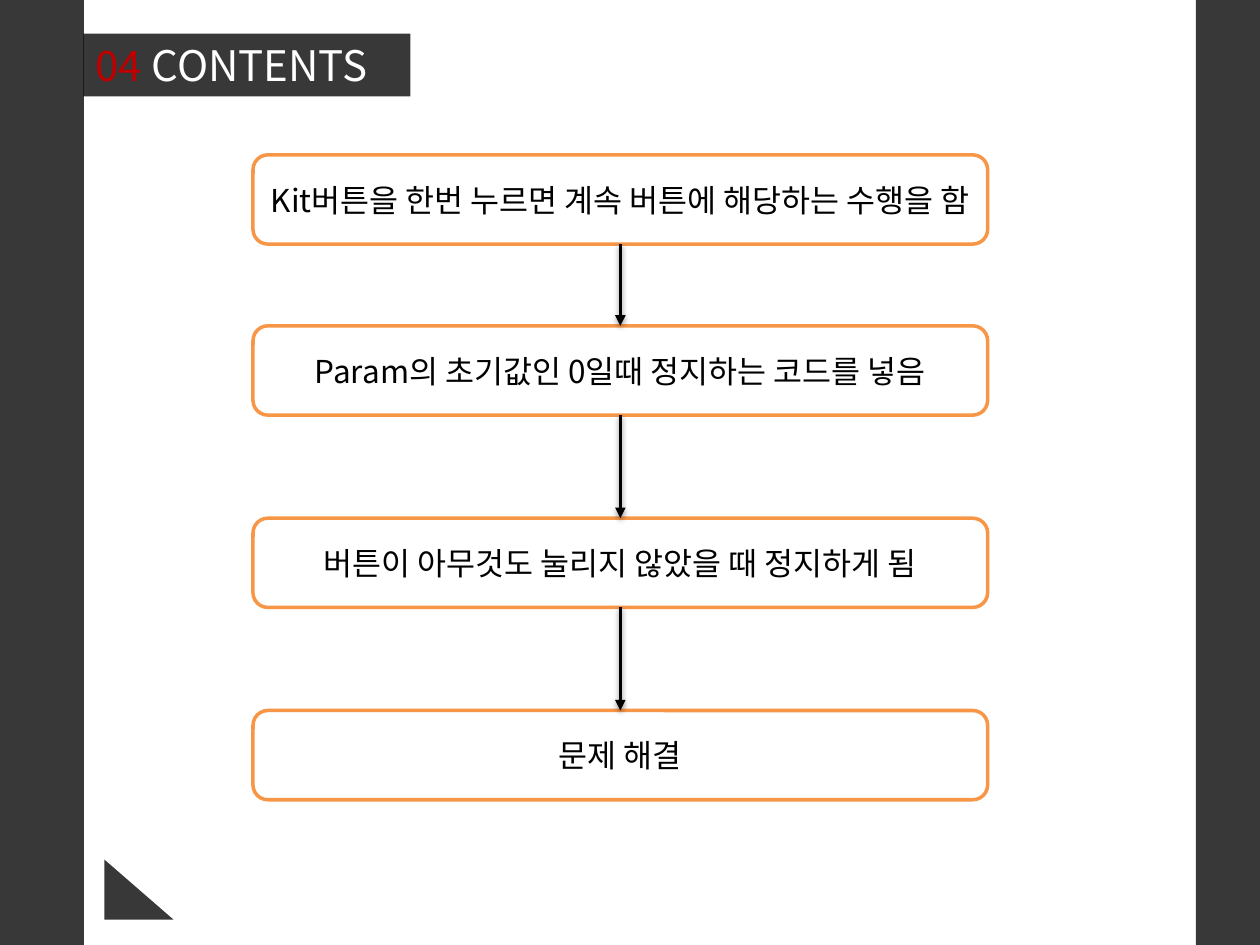
"""Build a contents slide with a four-step vertical flow."""
from lxml import etree
from pptx import Presentation, util as u
from pptx.dml.color import RGBColor
from pptx.enum import shapes as s, text as t
from pptx.oxml import parse_xml
from pptx.oxml.ns import qn

Pt = u.Pt
BLACK = RGBColor(0, 0, 0)
WHITE = RGBColor(255, 255, 255)
RED = RGBColor(0xC0, 0, 0)
ORANGE = RGBColor(0xF7, 0x96, 0x46)
FONT = "Noto Sans CJK KR"
SHADOW = """<a:effectLst xmlns:a="http://schemas.openxmlformats.org/drawingml/2006/main">
<a:outerShdw blurRad="39370" dist="20320" dir="5400000" rotWithShape="0">
<a:srgbClr val="000000"><a:alpha val="38000"/></a:srgbClr></a:outerShdw></a:effectLst>"""


def write(shape, text, size=18, color=BLACK, align=t.PP_ALIGN.CENTER):
    frame = shape.text_frame
    frame.word_wrap = True
    frame.vertical_anchor = t.MSO_ANCHOR.MIDDLE
    para = frame.paragraphs[0]
    para.alignment = align
    run = para.add_run()
    run.text = text
    run.font.size = Pt(size)
    run.font.name = FONT
    run.font.color.rgb = color
    etree.SubElement(run.font._element, qn("a:ea"), typeface=FONT)


def draw(kind, left, top, width, height, fill):
    shape = slide.shapes.add_shape(kind, Pt(left), Pt(top), Pt(width), Pt(height))
    shape.shadow.inherit = False
    shape.fill.solid()
    shape.fill.fore_color.rgb = fill
    shape.line.fill.background()
    return shape


deck = Presentation()
deck.slide_width, deck.slide_height = Pt(720), Pt(540)
slide = deck.slides.add_slide(deck.slide_layouts[6])

RECT = s.MSO_SHAPE.RECTANGLE
panels = []
for kind, left, top, width, height in (
    (RECT, 0, 0, 48, 540),
    (RECT, 683.3, 0, 36.7, 540),
    (RECT, 47.6, 19.2, 187, 36),
    (s.MSO_SHAPE.ISOSCELES_TRIANGLE, 59.6, 491.2, 39.5, 34.3),
):
    panel = draw(kind, left, top, width, height, BLACK)
    tint = panel._element.spPr.find(qn("a:solidFill"))[0]
    etree.SubElement(tint, qn("a:alpha"), val="78000")
    panels.append(panel)

title, corner = panels[2:]
corner.adjustments[0] = 0
for text, color in (("04", RED), (" CONTENTS", WHITE)):
    write(title, text, size=24, color=color, align=t.PP_ALIGN.LEFT)

LEFT, WIDTH, HEIGHT = 144.6, 419.8, 51
steps = (
    (88.5, "Kit버튼을 한번 누르면 계속 버튼에 해당하는 수행을 함"),
    (186.2, "Param의 초기값인 0일때 정지하는 코드를 넣음"),
    (296.1, "버튼이 아무것도 눌리지 않았을 때 정지하게 됨"),
    (406, "문제 해결"),
)
for top, text in steps:
    box = draw(s.MSO_SHAPE.ROUNDED_RECTANGLE, LEFT, top, WIDTH, HEIGHT, WHITE)
    box.line.color.rgb = ORANGE
    box.line.width = Pt(2)
    write(box, text)

mid = Pt(LEFT + WIDTH / 2)
for (top, _), (end, _) in zip(steps, steps[1:]):
    arrow = slide.shapes.add_connector(
        s.MSO_CONNECTOR.STRAIGHT, mid, Pt(top + HEIGHT), mid, Pt(end))
    arrow.line.color.rgb = BLACK
    arrow.line.width = Pt(2)
    etree.SubElement(arrow.line._get_or_add_ln(), qn("a:tailEnd"), type="triangle")
    arrow._element.spPr.append(parse_xml(SHADOW))

deck.save("out.pptx")
